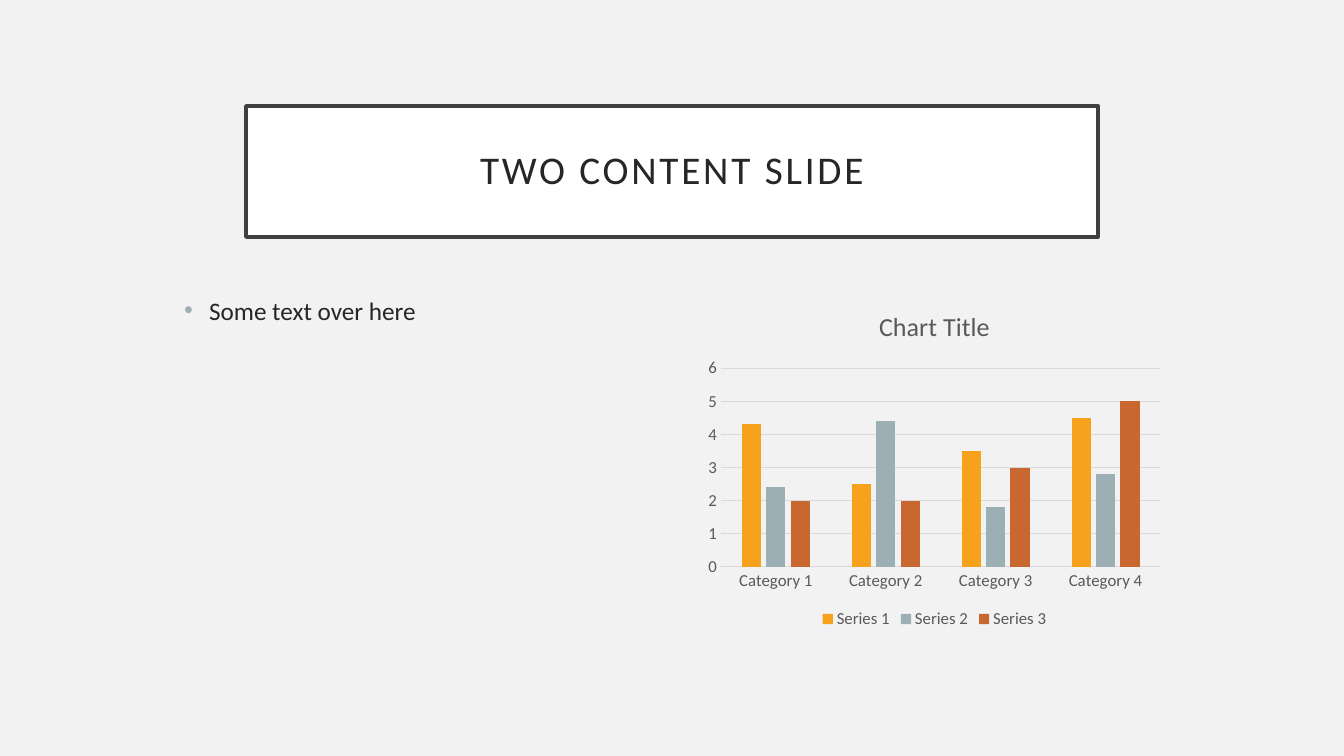
from lxml.etree import SubElement
from pptx import Presentation
from pptx.chart.data import CategoryChartData
from pptx.dml.color import RGBColor
from pptx.enum.chart import XL_CHART_TYPE as ChartType, XL_LEGEND_POSITION as LegendPosition
from pptx.enum.chart import XL_TICK_MARK as TickMark
from pptx.enum.text import MSO_ANCHOR as Anchor, MSO_AUTO_SIZE as AutoSize, PP_ALIGN as Align
from pptx.oxml.ns import qn
from pptx.util import Emu, Pt

BACKGROUND = RGBColor(0xF2, 0xF2, 0xF2)
WHITE = RGBColor(0xFF, 0xFF, 0xFF)
FRAME = RGBColor(0x40, 0x40, 0x40)
INK = RGBColor(0x26, 0x26, 0x26)
CHART_TEXT = RGBColor(0x59, 0x59, 0x59)
GRID = RGBColor(0xD9, 0xD9, 0xD9)
ORANGE = RGBColor(0xF6, 0xA2, 0x1D)
BLUE_GREY = RGBColor(0x9B, 0xAF, 0xB5)
RUST = RGBColor(0xC9, 0x67, 0x31)

CATEGORIES = [f"Category {number}" for number in range(1, 5)]
SERIES = [
    ("Series 1", (4.3, 2.5, 3.5, 4.5), ORANGE),
    ("Series 2", (2.4, 4.4, 1.8, 2.8), BLUE_GREY),
    ("Series 3", (2, 2, 3, 5), RUST),
]


def px(length):
    return Emu(round(length * 914400 / 100.8))


class SlideBuilder:
    """Holds the font and the current slide."""

    def __init__(self, slide, font_name="Calibri"):
        self.slide = slide
        self.font_name = font_name
        slide.background.fill.solid()
        slide.background.fill.fore_color.rgb = BACKGROUND

    def set_font(self, font, size, color):
        font.name = self.font_name
        font.size = Pt(size)
        font.color.rgb = color
        font.bold = False

    def place(self, shape, left, top, width, height):
        shape.left, shape.top = px(left), px(top)
        shape.width, shape.height = px(width), px(height)

    def title(self, text, *box):
        shape = self.slide.shapes.title
        self.place(shape, *box)
        shape.fill.solid()
        shape.fill.fore_color.rgb = WHITE
        shape.line.color.rgb = FRAME
        shape.line.width = Pt(2.5)
        frame = shape.text_frame
        frame.text = text
        frame.auto_size = AutoSize.NONE
        frame.vertical_anchor = Anchor.MIDDLE
        frame.margin_left = frame.margin_right = px(20)
        frame.margin_top = frame.margin_bottom = px(20)
        paragraph = frame.paragraphs[0]
        paragraph.alignment = Align.CENTER
        paragraph.line_spacing = 0.9
        self.set_font(paragraph.font, 28, INK)
        # Letter spacing of 2 pt
        paragraph.runs[0].font._element.set("spc", "200")

    def bullets(self, lines, *box):
        shape = self.slide.placeholders[1]
        self.place(shape, *box)
        frame = shape.text_frame
        frame.text = "\n".join(lines)
        frame.auto_size = AutoSize.NONE
        for paragraph in frame.paragraphs:
            paragraph.space_before = Pt(10)
            self.set_font(paragraph.font, 18, INK)
            # Coloured bullet with a hanging indent
            properties = paragraph._p.get_or_add_pPr()
            properties.set("marL", str(px(25)))
            properties.set("indent", str(px(-25)))
            bullet_color = properties.makeelement(qn("a:buClr"))
            SubElement(bullet_color, qn("a:srgbClr"), val=str(BLUE_GREY))
            bullet_font = properties.makeelement(qn("a:buFont"), typeface="Arial")
            bullet = properties.makeelement(qn("a:buChar"), char="•")
            defaults = properties.find(qn("a:defRPr"))
            for element in (bullet_color, bullet_font, bullet):
                defaults.addprevious(element)

    def column_chart(self, title, categories, series_list, *box):
        data = CategoryChartData()
        data.categories = categories
        for name, values, _ in series_list:
            data.add_series(name, values)
        chart = self.slide.shapes.add_chart(
            ChartType.COLUMN_CLUSTERED, *map(px, box), data).chart
        self.set_font(chart.font, 12, CHART_TEXT)

        # Title and legend
        chart.has_title = True
        chart.chart_title.text_frame.text = title
        self.set_font(chart.chart_title.text_frame.paragraphs[0].font, 18.6, CHART_TEXT)
        chart.has_legend = True
        chart.legend.position = LegendPosition.BOTTOM
        chart.legend.include_in_layout = False
        self.set_font(chart.legend.font, 12, CHART_TEXT)

        # Axes
        for axis in (chart.category_axis, chart.value_axis):
            axis.major_tick_mark = axis.minor_tick_mark = TickMark.NONE
            self.set_font(axis.tick_labels.font, 12, CHART_TEXT)
        value_axis = chart.value_axis
        value_axis.minimum_scale, value_axis.maximum_scale = 0, 6
        value_axis.major_unit = 1
        value_axis.format.line.fill.background()
        for line in (chart.category_axis.format.line,
                     value_axis.major_gridlines.format.line):
            line.color.rgb = GRID
            line.width = Pt(0.75)

        # Columns
        plot = chart.plots[0]
        plot.vary_by_categories = False
        plot.gap_width, plot.overlap = 219, -27
        for series, (_, _, color) in zip(plot.series, series_list):
            series.format.fill.solid()
            series.format.fill.fore_color.rgb = color


def main():
    presentation = Presentation()
    presentation.slide_width, presentation.slide_height = px(1344), px(756)
    slide = presentation.slides.add_slide(presentation.slide_layouts[1])
    builder = SlideBuilder(slide)
    builder.title("TWO CONTENT SLIDE", 246, 106, 852, 131)
    builder.bullets(["Some text over here"], 174, 290, 471, 342)
    builder.column_chart("Chart Title", CATEGORIES, SERIES, 699, 291, 471, 342)
    presentation.save("out.pptx")


if __name__ == "__main__":
    main()
